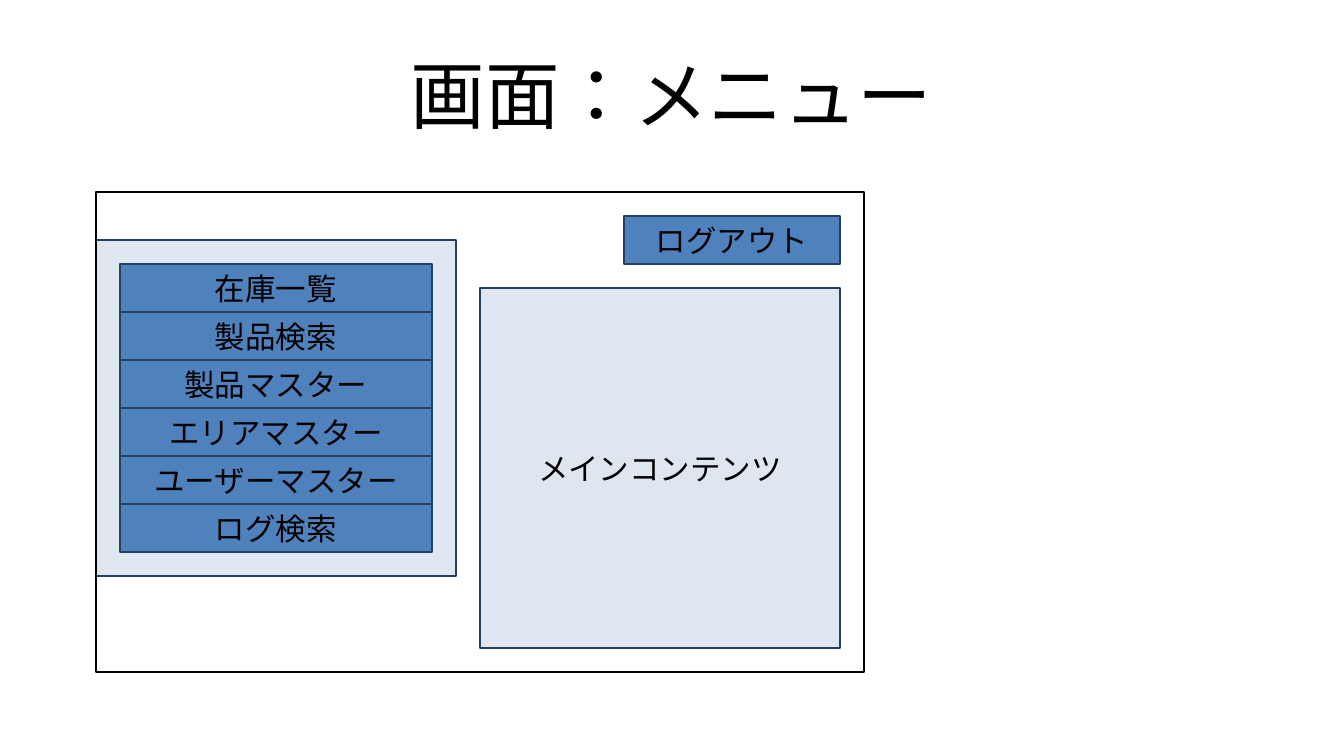
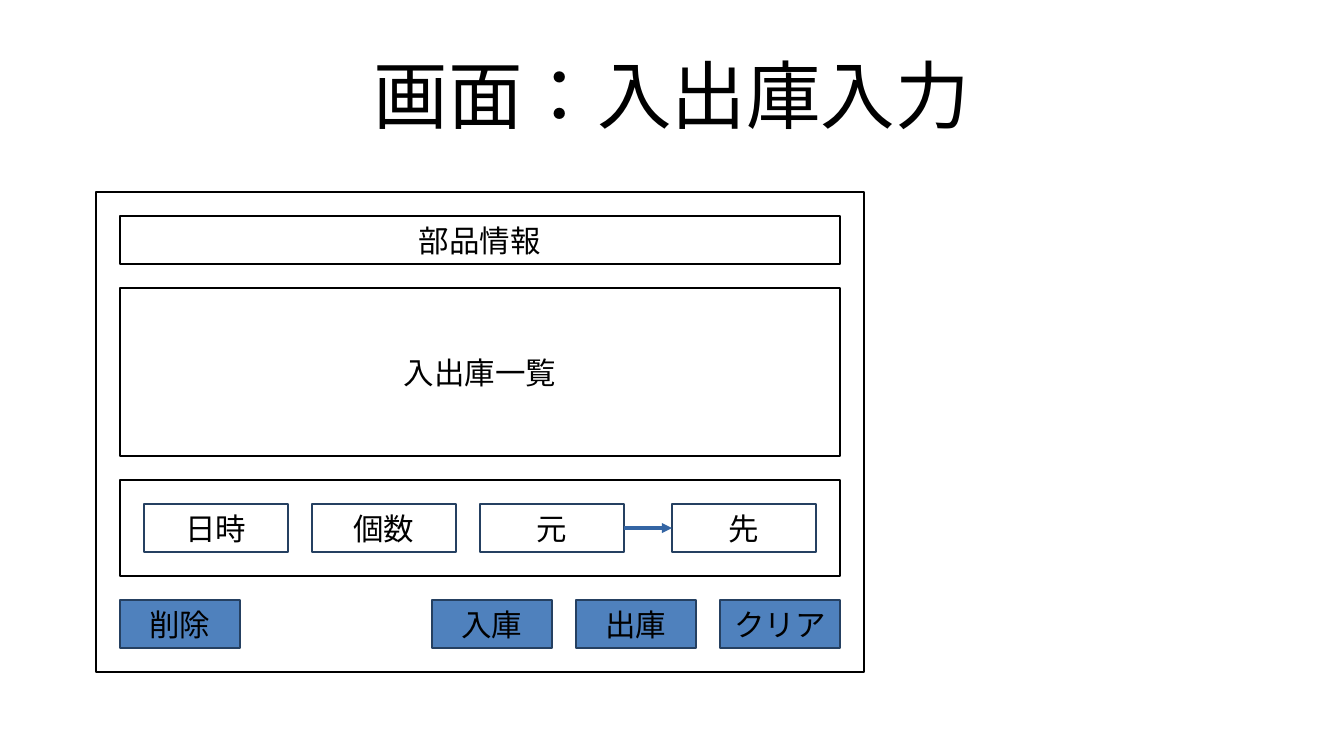
import pptx
import pptx.dml.color
import pptx.enum.lang
import pptx.enum.shapes
import pptx.enum.text
import pptx.oxml
import pptx.oxml.ns
import pptx.util
from pptx.util import Cm

BLACK = "000000"
NAVY = "254061"
BUTTON_BLUE = "4F81BD"
PANEL_BLUE = "DEE6EF"
ARROW_BLUE = "3465A4"
FONT = "Arial"

SLIDE_SIZE = (28, 15.75)
TITLE_BOX = (1.4, 0.63, 25.2, 2.63)
WINDOW = (2, 4, 16, 10)
GAP = 0.5
ROW = 1


def paint(colour_format, colour):
    colour_format.rgb = pptx.dml.color.RGBColor.from_string(colour)


def write(shape, text, size):
    """Put centred black text in the shape."""
    frame = shape.text_frame
    frame.word_wrap = True
    frame.vertical_anchor = pptx.enum.text.MSO_ANCHOR.MIDDLE
    frame.text = text
    paragraph = frame.paragraphs[0]
    paragraph.alignment = pptx.enum.text.PP_ALIGN.CENTER
    for run in paragraph.runs:
        run.font.name = FONT
        run.font.size = pptx.util.Pt(size)
        run.font.language_id = pptx.enum.lang.MSO_LANGUAGE_ID.JAPANESE
        paint(run.font.color, BLACK)


def add_title(slide, text):
    title = slide.shapes.add_textbox(*map(Cm, TITLE_BOX))
    write(title, text, 44)
    frame = title.text_frame
    frame.margin_left = frame.margin_right = 0
    frame.margin_top = frame.margin_bottom = 0


def add_box(slide, box, text="", fill=None, outline=BLACK):
    shape = slide.shapes.add_shape(
        pptx.enum.shapes.MSO_SHAPE.RECTANGLE, *map(Cm, box))
    shape.shadow.inherit = False
    if fill:
        shape.fill.solid()
        paint(shape.fill.fore_color, fill)
    else:
        shape.fill.background()
    paint(shape.line.color, outline)
    shape.line.width = 0
    if text:
        write(shape, text, 18)


def add_button(slide, box, text):
    add_box(slide, box, text, BUTTON_BLUE, NAVY)


def add_arrow(slide, left, right, y):
    arrow = slide.shapes.add_connector(
        pptx.enum.shapes.MSO_CONNECTOR.STRAIGHT,
        Cm(left), Cm(y), Cm(right), Cm(y))
    paint(arrow.line.color, ARROW_BLUE)
    arrow.line.width = 0
    properties = arrow.element.spPr
    namespace = pptx.oxml.ns.nsdecls("a")
    properties.find(pptx.oxml.ns.qn("a:ln")).append(
        pptx.oxml.parse_xml(f'<a:tailEnd {namespace} type="triangle"/>'))
    properties.append(pptx.oxml.parse_xml(f"<a:effectLst {namespace}/>"))


def add_side_menu(slide, box, items):
    left, top, width, _ = box
    add_box(slide, box, fill=PANEL_BLUE, outline=NAVY)
    for index, item in enumerate(items):
        add_button(slide, (left + GAP, top + GAP + index * ROW,
                           width - 2 * GAP, ROW), item)


def add_entry_form(slide, box):
    """Frame the four input fields, with an arrow from source to target."""
    left, top, width, height = box
    field_width = 3
    add_box(slide, box)
    step = field_width + GAP
    field_left = left + GAP
    target_left = left + width - GAP - field_width
    fields = [("日時", field_left), ("個数", field_left + step),
              ("元", field_left + 2 * step), ("先", target_left)]
    for label, x in fields:
        add_box(slide, (x, top + GAP, field_width, ROW), label, outline=NAVY)
    source_right = field_left + 2 * step + field_width
    add_arrow(slide, source_right, target_left, top + height / 2)


def add_action_row(slide, box):
    """Place one button at the left end and three at the right end."""
    left, top, width, height = box
    button_width = 2.5
    add_button(slide, (left, top, button_width, height), "削除")
    actions = ["クリア", "出庫", "入庫"]
    for index, action in enumerate(actions):
        x = left + width - button_width - index * (button_width + GAP)
        add_button(slide, (x, top, button_width, height), action)


def build_menu_screen(slide, window):
    left, top, width, height = window
    column = 7.5
    add_title(slide, "画面：メニュー")
    add_side_menu(slide, (left, top + 1, column, 7),
                  ["在庫一覧", "製品検索", "製品マスター",
                   "エリアマスター", "ユーザーマスター", "ログ検索"])
    add_box(slide, window)
    right = left + width - GAP
    logout_width = 4.5
    add_button(slide, (right - logout_width, top + GAP, logout_width, ROW),
               "ログアウト")
    content_top = top + 2 * GAP + ROW
    add_box(slide, (right - column, content_top, column,
                    top + height - GAP - content_top),
            "メインコンテンツ", PANEL_BLUE, NAVY)


def build_stock_entry_screen(slide, window):
    left, top, width, _ = window
    add_title(slide, "画面：入出庫入力")
    add_box(slide, window)

    def add_labelled(box, label):
        add_box(slide, box, label)

    bands = [
        (ROW, lambda box: add_labelled(box, "部品情報")),
        (3.5, lambda box: add_labelled(box, "入出庫一覧")),
        (2, lambda box: add_entry_form(slide, box)),
        (ROW, lambda box: add_action_row(slide, box)),
    ]
    y = top + GAP
    for band_height, place in bands:
        place((left + GAP, y, width - 2 * GAP, band_height))
        y += band_height + GAP


def main():
    deck = pptx.Presentation()
    deck.slide_width, deck.slide_height = map(Cm, SLIDE_SIZE)
    blank = deck.slide_layouts[6]
    for build in (build_menu_screen, build_stock_entry_screen):
        build(deck.slides.add_slide(blank), WINDOW)
    deck.save("out.pptx")


if __name__ == "__main__":
    main()
